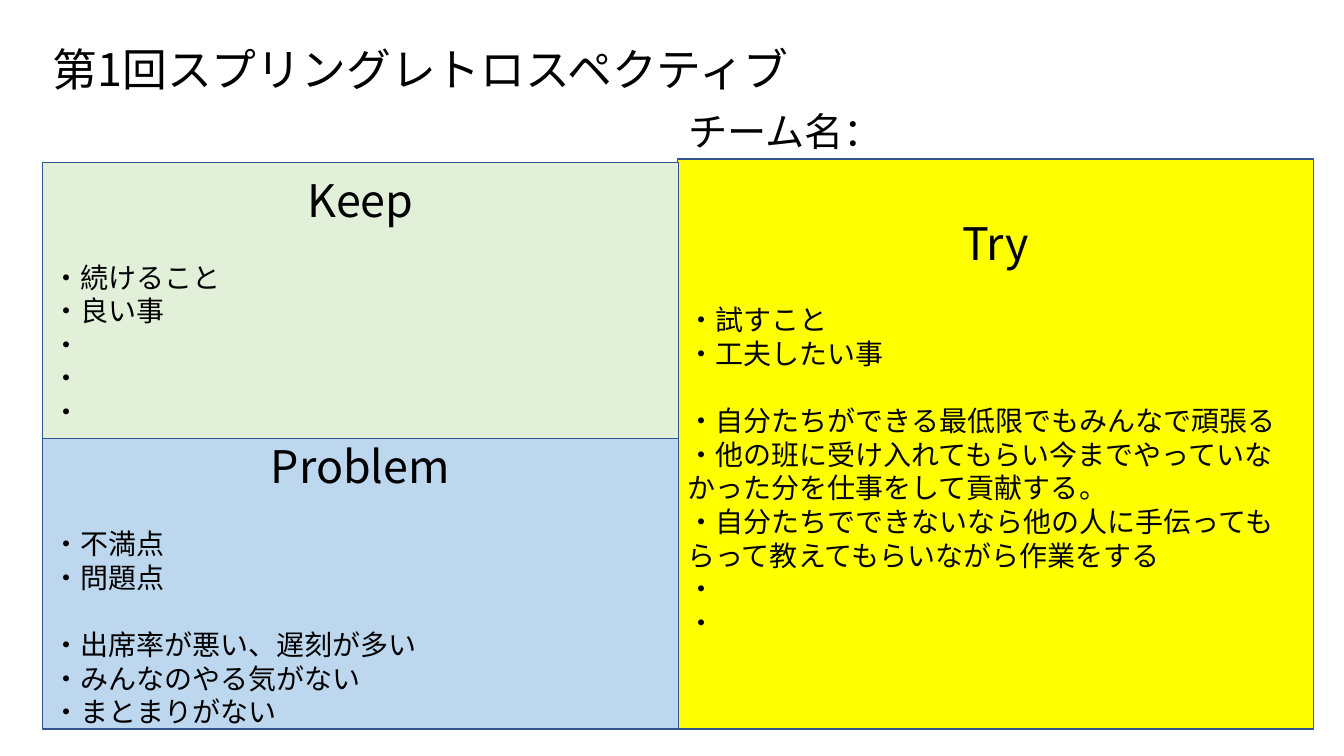
"""Build a Keep / Problem / Try retrospective slide."""
from dataclasses import dataclass

import pptx
import pptx.dml.color
import pptx.enum.shapes
import pptx.enum.text
import pptx.oxml.ns
import pptx.util
from lxml import etree

Cm = pptx.util.Cm
Pt = pptx.util.Pt
RGB = pptx.dml.color.RGBColor.from_string
ALIGN = pptx.enum.text.PP_ALIGN
ANCHOR = pptx.enum.text.MSO_ANCHOR
AUTO = pptx.enum.text.MSO_AUTO_SIZE


@dataclass(frozen=True)
class Theme:
    """Fonts, sizes and colours of the slide."""
    font: str = "Noto Sans CJK JP"
    heading: int = 32
    team: int = 28
    body: int = 20
    leading: float = 1.2
    text: str = "000000"
    border: str = "325491"
    keep: str = "E2F0D9"
    problem: str = "BDD7EE"
    attempt: str = "FFFF00"


@dataclass(frozen=True)
class Panel:
    """One coloured panel: heading and groups of bullet lines."""
    heading: str
    box: tuple[float, float, float, float]
    fill: str
    groups: tuple[tuple[str, ...], ...]
    lines_below: int = 0


THEME = Theme()
LEFT, WIDTH = 1.07, 16.03
KEEP_TOP, PROBLEM_TOP, BOTTOM = 4.09, 11.05, 18.37
TRY_LEFT, TRY_TOP = 17.07, 4.01

PANELS = (
    Panel("Try", (TRY_LEFT, TRY_TOP, WIDTH, BOTTOM - TRY_TOP), THEME.attempt, (
        ("試すこと", "工夫したい事"),
        ("自分たちができる最低限でもみんなで頑張る",
         "他の班に受け入れてもらい今までやっていなかった分を仕事をして貢献する。",
         "自分たちでできないなら他の人に手伝ってもらって教えてもらいながら作業をする",
         "", ""),
    ), lines_below=1),
    Panel("Keep", (LEFT, KEEP_TOP, WIDTH, PROBLEM_TOP - KEEP_TOP), THEME.keep, (
        ("続けること", "良い事", "", "", ""),
    )),
    Panel("Problem", (LEFT, PROBLEM_TOP, WIDTH, BOTTOM - PROBLEM_TOP), THEME.problem, (
        ("不満点", "問題点"),
        ("出席率が悪い、遅刻が多い", "みんなのやる気がない", "まとまりがない"),
    )),
)


def apply(target: object, values: dict[str, object]) -> None:
    """Set attributes of an object from a dict."""
    for name, value in values.items():
        setattr(target, name, value)


def place(sp: object, box: tuple[float, float, float, float]) -> None:
    """Move and size a shape, in centimetres."""
    apply(sp, dict(zip(("left", "top", "width", "height"), map(Cm, box))))


def write(p: object, text: str, size: int, align: ALIGN = ALIGN.LEFT, before: float = 0) -> None:
    """Fill a paragraph with one formatted run."""
    apply(p, {"alignment": align, "line_spacing": Pt(size * THEME.leading),
              "space_before": Pt(before), "space_after": Pt(0)})
    r = p.add_run()
    r.text = text
    apply(r.font, {"name": THEME.font, "size": Pt(size), "bold": False})
    r.font.color.rgb = RGB(THEME.text)
    ea = etree.SubElement(r.font._element, pptx.oxml.ns.qn("a:ea"))
    ea.set("typeface", THEME.font)


def draw_panel(s: object, panel: Panel) -> None:
    """Draw a panel with its heading and bullet lines."""
    sp = s.shapes.add_shape(pptx.enum.shapes.MSO_SHAPE.RECTANGLE, *map(Cm, panel.box))
    sp.shadow.inherit = False
    sp.fill.solid()
    sp.fill.fore_color.rgb = RGB(panel.fill)
    sp.line.color.rgb = RGB(THEME.border)
    sp.line.width = Pt(1)
    tf = sp.text_frame
    line = THEME.body * THEME.leading
    apply(tf, {"word_wrap": True, "vertical_anchor": ANCHOR.MIDDLE,
               "margin_bottom": Pt(3.6 + panel.lines_below * line)})
    write(tf.paragraphs[0], panel.heading, THEME.heading, ALIGN.CENTER)
    for group in panel.groups:
        for i, item in enumerate(group):
            write(tf.add_paragraph(), "・" + item, THEME.body, before=0 if i else line)


def main() -> None:
    """Build and save the slide."""
    prs = pptx.Presentation()
    apply(prs, {"slide_width": Cm(33.87), "slide_height": Cm(19.05)})
    s = prs.slides.add_slide(prs.slide_layouts[5])

    title = s.shapes.title
    place(title, (LEFT, 0.69, 31.7, 2.08))
    apply(title.text_frame, {"word_wrap": True, "vertical_anchor": ANCHOR.MIDDLE,
                             "auto_size": AUTO.NONE})
    write(title.text_frame.paragraphs[0], "第1回スプリングレトロスペクティブ", THEME.heading)

    for panel in PANELS:
        draw_panel(s, panel)

    team = s.shapes.add_textbox(*map(Cm, (17.09, 2.57, 15.98, 1.45)))
    apply(team.text_frame, {"word_wrap": True, "auto_size": AUTO.SHAPE_TO_FIT_TEXT})
    write(team.text_frame.paragraphs[0], "チーム名：", THEME.team)

    prs.save("out.pptx")


main()
